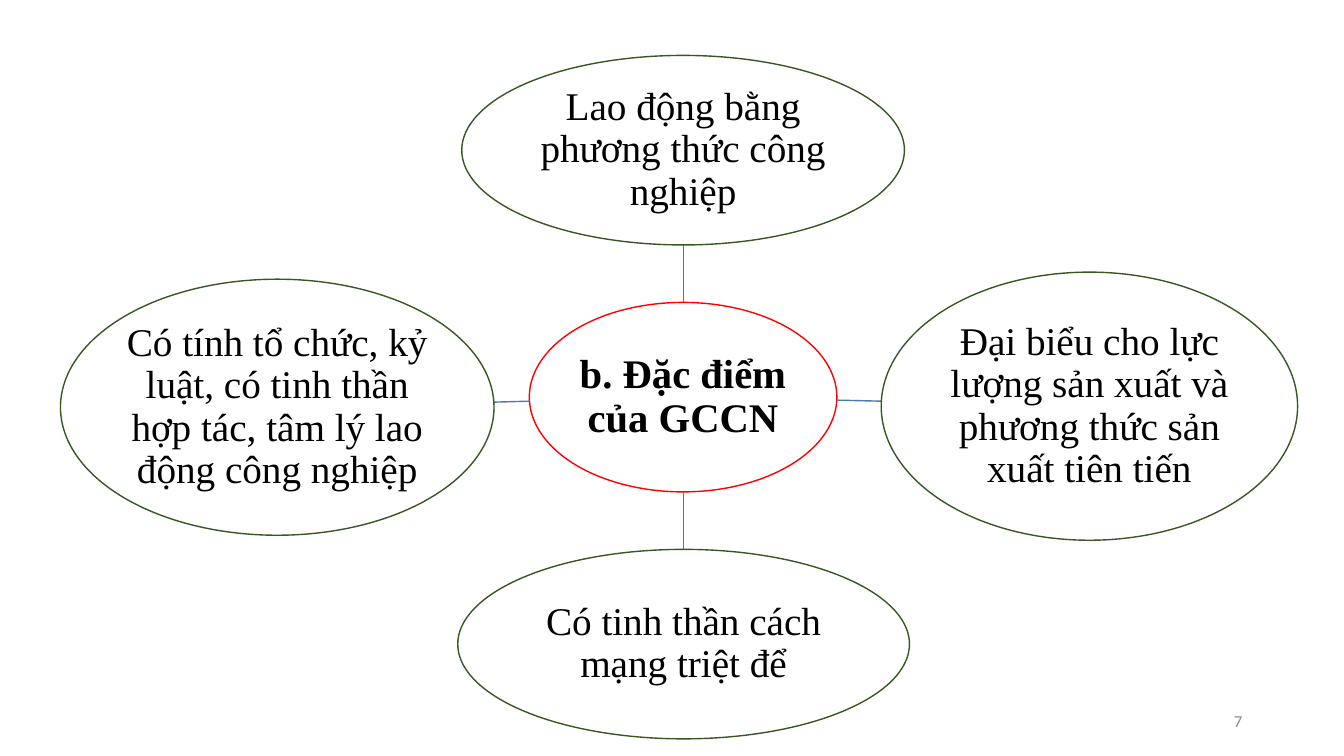
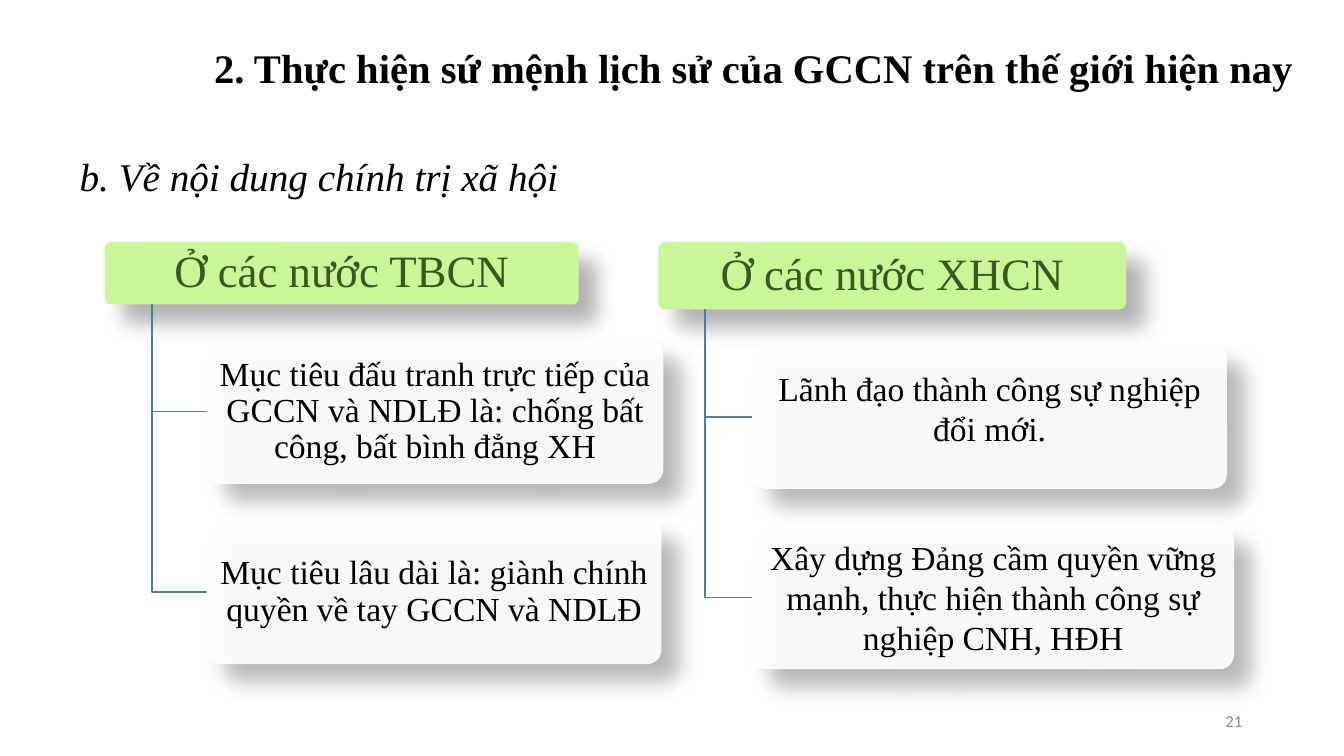
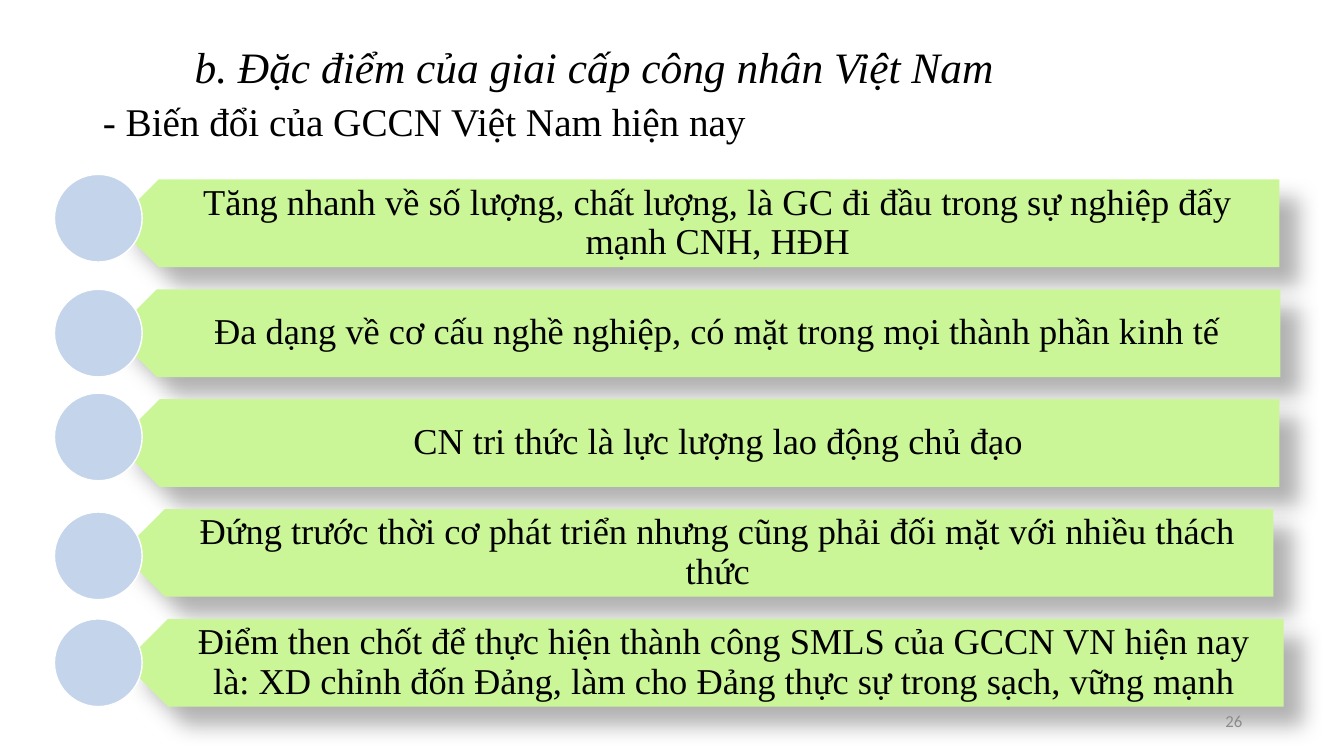
"""Build three slides on the working class: its traits, its mission, and its changes in Vietnam."""
from lxml import etree
from pptx import Presentation
from pptx import util as u
from pptx.dml.color import RGBColor
from pptx.enum import shapes, text
from pptx.oxml.ns import qn

BLACK, WHITE, RED, GREY = "000000", "FFFFFF", "FF0000", "8C8C8C"
DARK_GREEN, LIME, LINK_BLUE, PALE_BLUE = "385723", "CBF698", "497CAB", "C4D5EB"
SERIF, SANS = "Times New Roman", "Calibri"
CENTER, LEFT, RIGHT = text.PP_ALIGN.CENTER, text.PP_ALIGN.LEFT, text.PP_ALIGN.RIGHT
MIDDLE, TOP = text.MSO_ANCHOR.MIDDLE, text.MSO_ANCHOR.TOP


def write(frame, words, size, color=BLACK, font=SERIF, align=CENTER, anchor=MIDDLE,
          spacing=0.9, insets=(0.1, 0.05, 0.1, 0.05), bold=False, italic=False):
    frame.word_wrap = True
    frame.auto_size = text.MSO_AUTO_SIZE.NONE
    frame.vertical_anchor = anchor
    frame.margin_left, frame.margin_top, frame.margin_right, frame.margin_bottom = map(u.Inches, insets)
    frame.text = words
    line = frame.paragraphs[0]
    line.alignment = align
    line.line_spacing = spacing
    line.space_before = u.Pt(0)
    properties = line._p.get_or_add_pPr()
    properties.set("marL", "0")
    properties.set("indent", "0")
    etree.SubElement(properties, qn("a:buNone"))
    line.font.name, line.font.size = font, u.Pt(size)
    line.font.bold, line.font.italic = bold, italic
    line.font.color.rgb = RGBColor.from_string(color)


def add_box(slide, preset, place, fill, outline=None, shadow=False, opacity=100):
    box = slide.shapes.add_shape(preset, *map(u.Inches, place))
    box.fill.solid()
    box.fill.fore_color.rgb = RGBColor.from_string(fill)
    if opacity < 100:
        color = box._element.spPr.find(qn("a:solidFill"))[0]
        etree.SubElement(color, qn("a:alpha"), val=str(opacity * 1000))
    if outline:
        box.line.color.rgb = RGBColor.from_string(outline)
        box.line.width = u.Pt(1)
    else:
        box.line.fill.background()
    box.shadow.inherit = False
    if shadow:
        effects = box._element.spPr.find(qn("a:effectLst"))
        outer = etree.SubElement(effects, qn("a:outerShdw"), blurRad=str(u.Pt(15)), dist=str(u.Pt(18)),
                                 dir="2700000", algn="tl", rotWithShape="0")
        color = etree.SubElement(outer, qn("a:srgbClr"), val=BLACK)
        etree.SubElement(color, qn("a:alpha"), val="30000")
    return box


deck = Presentation()
deck.slide_width, deck.slide_height = u.Inches(13.33), u.Inches(7.5)
content_layout, blank_layout = deck.slide_layouts[1], deck.slide_layouts[6]

traits = deck.slides.add_slide(blank_layout)
ellipse_insets = (0.02,) * 4
hub = add_box(traits, shapes.MSO_SHAPE.OVAL, (5.25, 3, 3.05, 1.88), WHITE, RED)
write(hub.text_frame, "b. Đặc điểm của GCCN", 29, insets=ellipse_insets, bold=True)

trait_nodes = [
    ("Lao động bằng phương thức công nghiệp", (4.58, 0.55, 4.39, 1.88), (6.78, 3, 6.78, 2.43)),
    ("Đại biểu cho lực lượng sản xuất và phương thức sản xuất tiên tiến",
     (8.74, 2.7, 4.13, 2.66), (8.3, 3.97, 8.74, 3.98)),
    ("Có tinh thần cách mạng triệt để", (4.54, 5.45, 4.48, 1.88), (6.78, 4.88, 6.78, 5.45)),
    ("Có tính tổ chức, kỷ luật, có tinh thần hợp tác, tâm lý lao động công nghiệp",
     (0.6, 2.77, 4.3, 2.54), (5.25, 3.98, 4.89, 3.99)),
]
for words, place, spoke_ends in trait_nodes:
    spoke = traits.shapes.add_connector(shapes.MSO_CONNECTOR.STRAIGHT, *map(u.Inches, spoke_ends))
    spoke.line.color.rgb = RGBColor.from_string(LINK_BLUE)
    spoke.line.width = u.Pt(1)
    etree.SubElement(spoke._element.spPr, qn("a:effectLst"))
    trait = add_box(traits, shapes.MSO_SHAPE.OVAL, place, WHITE, DARK_GREEN)
    write(trait.text_frame, words, 28, insets=ellipse_insets)

mission = deck.slides.add_slide(content_layout)
changes = deck.slides.add_slide(content_layout)
headings = [
    (mission.shapes.title, (1.86, -0.03, 11.24, 1.45),
     "2. Thực hiện sứ mệnh lịch sử của GCCN trên thế giới hiện nay", 29, dict(bold=True)),
    (mission.placeholders[1], (0.69, 1.27, 12.65, 5.88), "b. Về nội dung chính trị xã hội", 28,
     dict(align=LEFT, anchor=TOP, spacing=1.4, italic=True)),
    (changes.shapes.title, (1.83, 0.09, 11.5, 0.97), "b. Đặc điểm của giai cấp công nhân Việt Nam", 31,
     dict(align=LEFT, spacing=1.3, italic=True)),
    (changes.placeholders[1], (0.92, 0.97, 11.5, 5.24), "- Biến đổi của GCCN Việt Nam hiện nay", 28,
     dict(align=LEFT, anchor=TOP)),
]
for heading, place, words, size, style in headings:
    heading.left, heading.top, heading.width, heading.height = map(u.Inches, place)
    write(heading.text_frame, words, size, **style)

goal_height, goal_step, goal_gap = 1.43, 1.79, 0.35
blocs = [
    ("Ở các nước TBCN", (1.04, 2.4, 4.7, 0.62), 2.05, 0.9, [
        ("Mục tiêu đấu tranh trực tiếp của GCCN và NDLĐ là: chống bất công, bất bình đẳng XH", 4.53, 0.03),
        ("Mục tiêu lâu dài là: giành chính quyền về tay GCCN và NDLĐ", 4.51, 0.03)]),
    ("Ở các nước XHCN", (6.53, 2.4, 4.64, 0.67), 7.46, 1, [
        ("Lãnh đạo thành công sự nghiệp đổi mới.", 4.71, 0.2),
        ("Xây dựng Đảng cầm quyền vững mạnh, thực hiện thành công sự nghiệp CNH, HĐH", 4.78, 0.03)]),
]
for bloc_name, place, goal_left, spacing, goals in blocs:
    bloc = add_box(mission, shapes.MSO_SHAPE.ROUNDED_RECTANGLE, place, LIME, shadow=True)
    bloc.adjustments[0] = 0.1
    write(bloc.text_frame, bloc_name, 32, DARK_GREEN, insets=(0.07, 0.04, 0.07, 0.04))
    left, top, width, height = place
    trunk, bloc_bottom = left + width / 10, top + height
    for index, (words, goal_width, bottom_inset) in enumerate(goals):
        goal_top = bloc_bottom + goal_gap + index * goal_step
        goal_middle = u.Inches(goal_top + goal_height / 2)
        outline = mission.shapes.build_freeform(u.Inches(trunk), u.Inches(bloc_bottom))
        outline.add_line_segments([(u.Inches(trunk), goal_middle), (u.Inches(goal_left), goal_middle)],
                                  close=False)
        branch = outline.convert_to_shape()
        branch.fill.background()
        branch.line.color.rgb = RGBColor.from_string(LINK_BLUE)
        branch.line.width = u.Pt(1)
        branch.shadow.inherit = False
        goal = add_box(mission, shapes.MSO_SHAPE.ROUNDED_RECTANGLE,
                       (goal_left, goal_top, goal_width, goal_height), WHITE, shadow=True, opacity=90)
        goal.adjustments[0] = 0.1
        write(goal.text_frame, words, 24, spacing=spacing, insets=(0.05, 0.03, 0.05, bottom_inset))

bar_top, bar_step, bar_height, text_shift = 1.78, 1.09, 0.87, 0.22
change_rows = [
    ("Tăng nhanh về số lượng, chất lượng, là GC đi đầu trong sự nghiệp đẩy mạnh CNH, HĐH", 1.14, 11.55, 1.73),
    ("Đa dạng về cơ cấu nghề nghiệp, có mặt trong mọi thành phần kinh tế", 1.12, 11.58, 2.87),
    ("CN tri thức là lực lượng lao động chủ đạo", 1.15, 11.54, 3.9),
    ("Đứng trước thời cơ phát triển nhưng cũng phải đối mặt với nhiều thách thức", 1.2, 11.43, 5.08),
    ("Điểm then chốt để thực hiện thành công SMLS của GCCN VN hiện nay là: XD chỉnh đốn Đảng, "
     "làm cho Đảng thực sự trong sạch, vững mạnh", 1.23, 11.5, 6.14),
]
for index, (words, left, width, dot_top) in enumerate(change_rows):
    top = bar_top + index * bar_step
    bar = add_box(changes, shapes.MSO_SHAPE.PENTAGON, (left, top, width, bar_height), LIME, shadow=True)
    bar.rotation = 180
    label = changes.shapes.add_textbox(*map(u.Inches, (left + text_shift, top, width - text_shift, bar_height)))
    write(label.text_frame, words, 26, insets=(0.39, 0.11, 0.2, 0.11))
    add_box(changes, shapes.MSO_SHAPE.OVAL, (0.54, dot_top, bar_height, bar_height), PALE_BLUE, WHITE)

for slide, number in zip(deck.slides, ("7", "21", "26")):
    page_number = slide.shapes.add_textbox(*map(u.Inches, (9.42, 6.95, 3, 0.4)))
    write(page_number.text_frame, number, 12, GREY, SANS, RIGHT, spacing=1)

deck.save("out.pptx")
